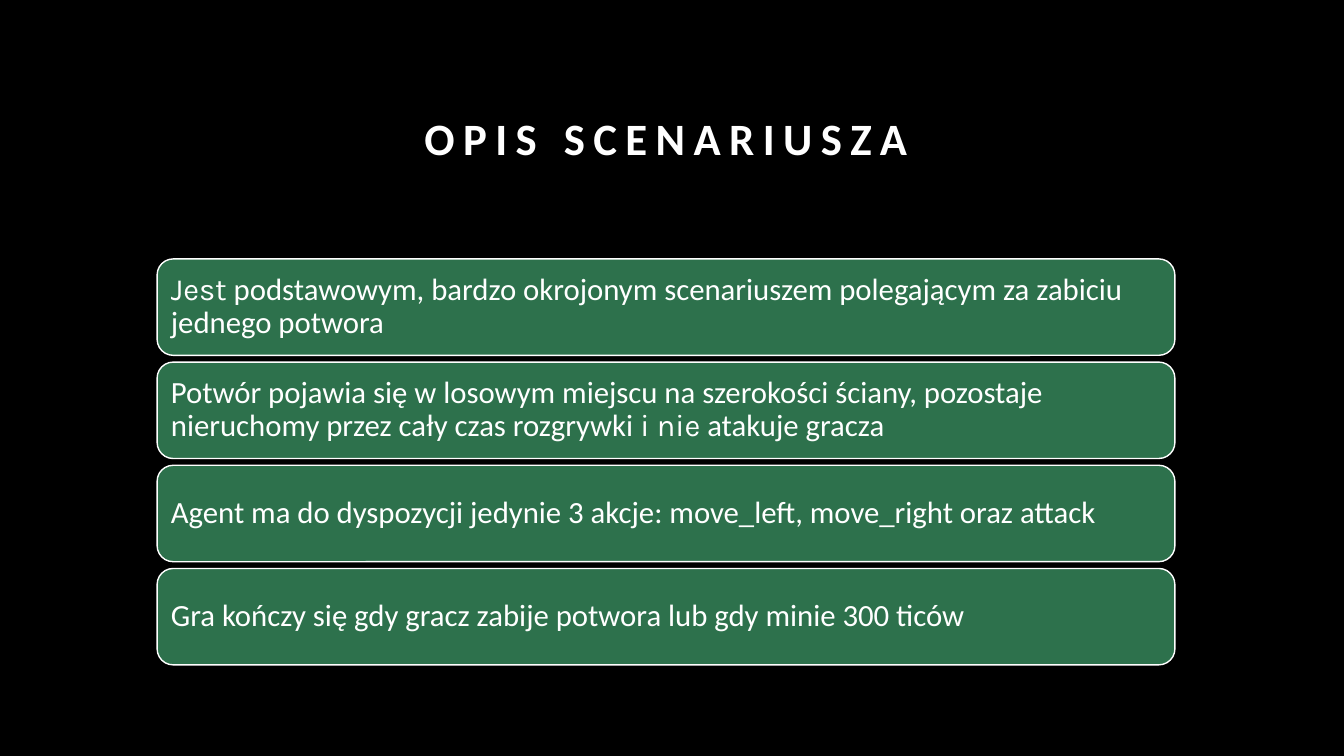
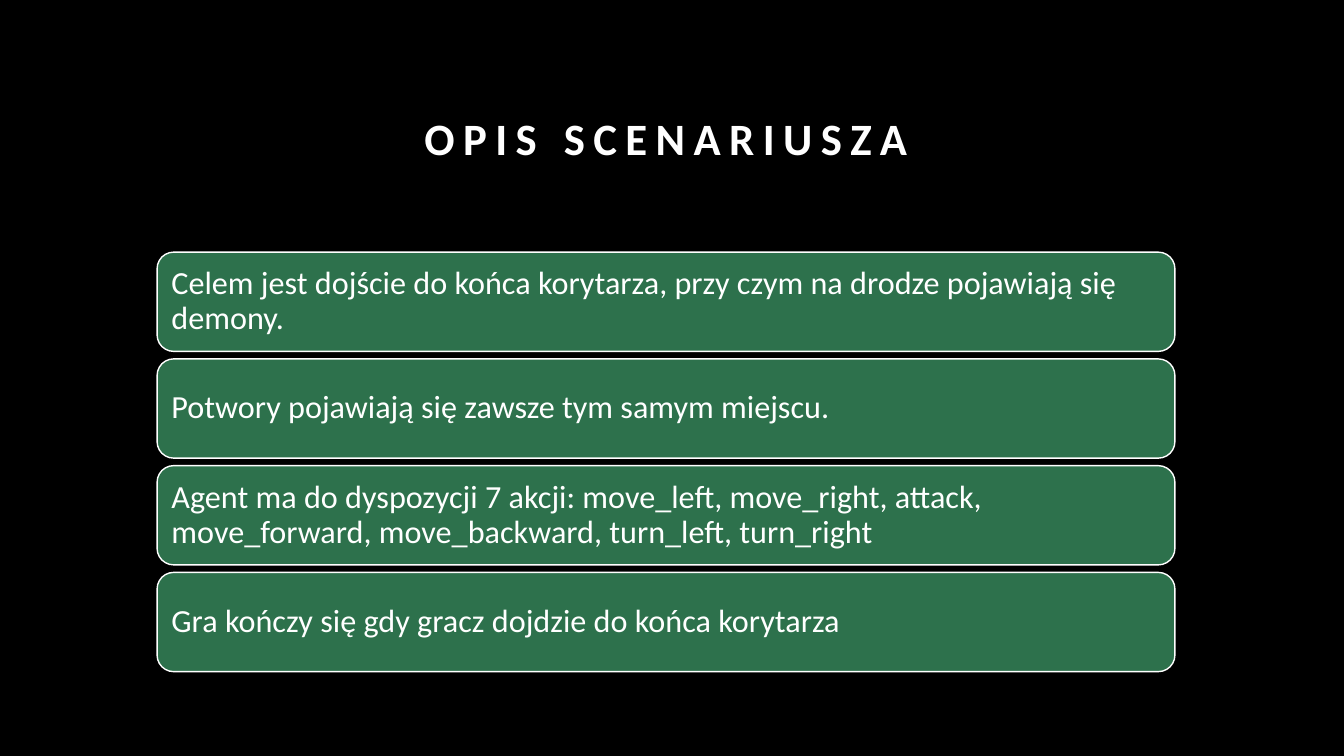
from dataclasses import dataclass

from pptx import Presentation
from pptx.dml.color import RGBColor
from pptx.enum.shapes import MSO_SHAPE
from pptx.enum.text import MSO_ANCHOR, PP_ALIGN
from pptx.util import Cm, Pt

ROUND = MSO_SHAPE.ROUNDED_RECTANGLE
BOTTOM, MIDDLE = MSO_ANCHOR.BOTTOM, MSO_ANCHOR.MIDDLE
LEFT, CENTER = PP_ALIGN.LEFT, PP_ALIGN.CENTER


@dataclass(frozen=True)
class Theme:
    back: RGBColor = RGBColor(0x00, 0x00, 0x00)
    card: RGBColor = RGBColor(0x2D, 0x71, 0x4C)
    text: RGBColor = RGBColor(0xFF, 0xFF, 0xFF)
    font: str = "Calibri"
    accent: str = "Karla"
    title: int = 32


THEME = Theme()
TITLE = "OPIS SCENARIUSZA"
SIDE, WIDTH = 3.96, 25.65  # shared column, in cm
STACK_MID = 11.64  # the cards are centred on this height, in cm

# Each card is a list of (text, font) runs.
SLIDES = [
    {
        "size": 22, "height": 2.43, "gap": 0.17, "inset": 0.23,
        "cards": [
            [("Jest", THEME.accent),
             (" podstawowym, bardzo okrojonym scenariuszem polegającym za "
              "zabiciu jednego potwora", THEME.font)],
            [("Potwór pojawia się w losowym miejscu na szerokości ściany, "
              "pozostaje nieruchomy przez cały czas rozgrywki ", THEME.font),
             ("i nie", THEME.accent),
             (" atakuje gracza", THEME.font)],
            [("Agent ma do dyspozycji jedynie 3 akcje: move_left, move_right "
              "oraz attack", THEME.font)],
            [("Gra kończy się gdy gracz zabije potwora lub gdy minie "
              "300 ticów", THEME.font)],
        ],
    },
    {
        "size": 23, "height": 2.5, "gap": 0.19, "inset": 0.24,
        "cards": [
            [("Celem jest dojście do końca korytarza, przy czym na drodze "
              "pojawiają się demony.", THEME.font)],
            [("Potwory pojawiają się zawsze tym samym miejscu.", THEME.font)],
            [("Agent ma do dyspozycji 7 akcji: move_left, move_right, attack, "
              "move_forward, move_backward, turn_left, turn_right",
              THEME.font)],
            [("Gra kończy się gdy gracz dojdzie do końca korytarza",
              THEME.font)],
        ],
    },
]


def write(shape, runs, size, align, anchor, spacing):
    """Fill the shape with one paragraph and return it."""
    frame = shape.text_frame
    frame.word_wrap = True
    frame.vertical_anchor = anchor
    para = frame.paragraphs[0]
    para.alignment = align
    para.line_spacing = spacing
    para.font.size = Pt(size)
    para.font.color.rgb = THEME.text
    fonts = {font for _, font in runs}
    if len(fonts) == 1:
        para.font.name = fonts.pop()
    for text, font in runs:
        run = para.add_run()
        run.text = text
        if para.font.name is None:
            run.font.name = font
    return para


deck = Presentation()
deck.slide_width, deck.slide_height = Cm(33.87), Cm(19.05)

for page in SLIDES:
    slide = deck.slides.add_slide(deck.slide_layouts[6])
    slide.background.fill.solid()
    slide.background.fill.fore_color.rgb = THEME.back

    title = slide.shapes.add_textbox(Cm(SIDE), Cm(1.9), Cm(WIDTH), Cm(2.38))
    para = write(title, [(TITLE, THEME.font)], THEME.title, CENTER, BOTTOM, 1.2)
    para.font.bold = True
    para.runs[0].font._element.set("spc", "600")

    cards, height = page["cards"], page["height"]
    step = height + page["gap"]
    top = STACK_MID - (len(cards) * step - page["gap"]) / 2
    for i, runs in enumerate(cards):
        card = slide.shapes.add_shape(
            ROUND, Cm(SIDE), Cm(top + i * step), Cm(WIDTH), Cm(height))
        card.shadow.inherit = False
        card.fill.solid()
        card.fill.fore_color.rgb = THEME.card
        card.line.color.rgb = THEME.text
        card.line.width = Pt(1)
        frame = card.text_frame
        frame.margin_left = frame.margin_right = Cm(page["inset"])
        frame.margin_top = frame.margin_bottom = Cm(page["inset"])
        write(card, runs, page["size"], LEFT, MIDDLE, 0.9)

deck.save("out.pptx")
